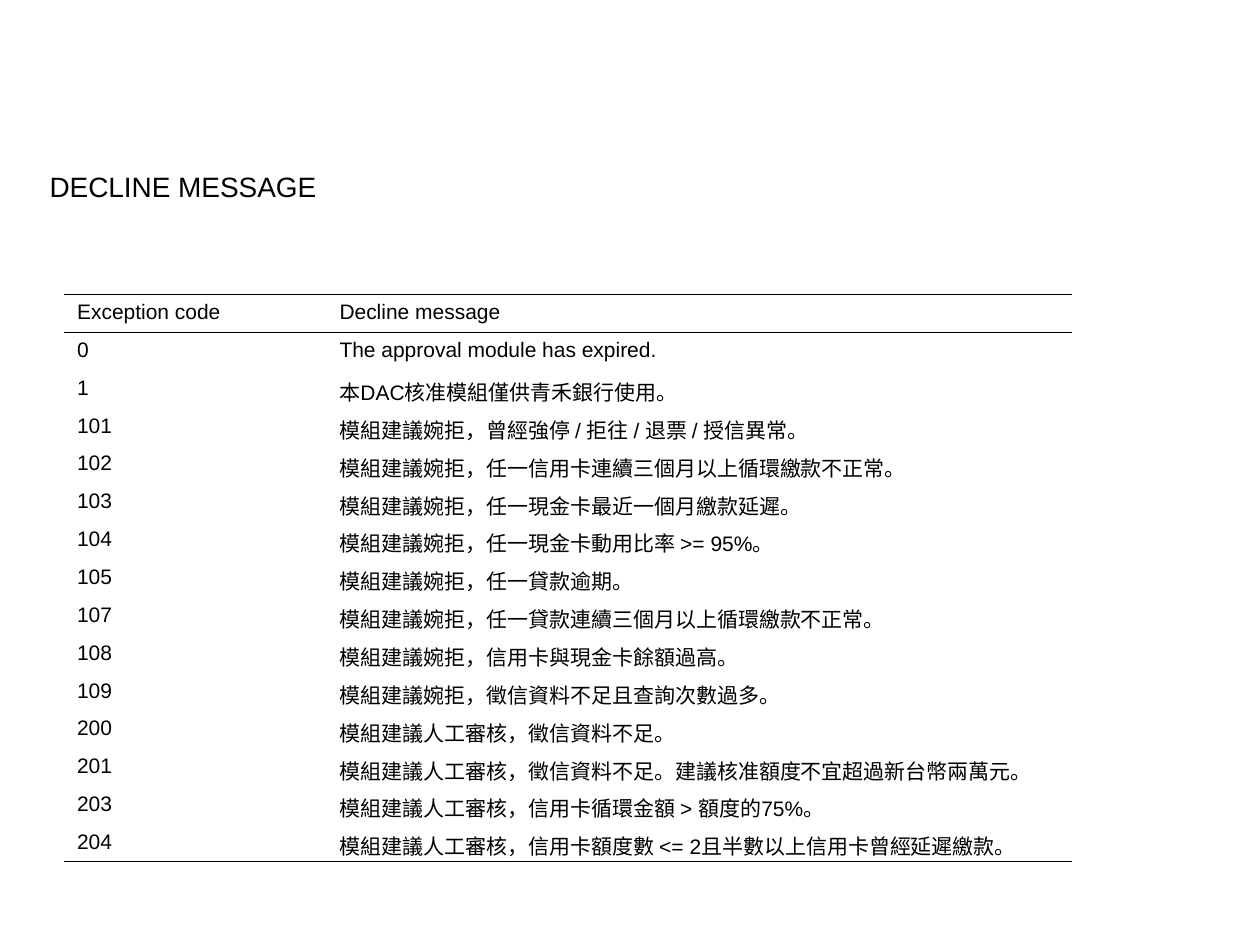
from lxml.etree import SubElement
from pptx import Presentation
from pptx.dml.color import RGBColor
from pptx.enum.text import MSO_ANCHOR as Anchor
from pptx.oxml.ns import qn
from pptx.util import Cm, Pt

MESSAGES = [
    ("Exception code", "Decline message"),
    ("0", "The approval module has expired."),
    ("1", "本DAC核准模組僅供青禾銀行使用。"),
    ("101", "模組建議婉拒，曾經強停 / 拒往 / 退票 / 授信異常。"),
    ("102", "模組建議婉拒，任一信用卡連續三個月以上循環繳款不正常。"),
    ("103", "模組建議婉拒，任一現金卡最近一個月繳款延遲。"),
    ("104", "模組建議婉拒，任一現金卡動用比率 >= 95%。"),
    ("105", "模組建議婉拒，任一貸款逾期。"),
    ("107", "模組建議婉拒，任一貸款連續三個月以上循環繳款不正常。"),
    ("108", "模組建議婉拒，信用卡與現金卡餘額過高。"),
    ("109", "模組建議婉拒，徵信資料不足且查詢次數過多。"),
    ("200", "模組建議人工審核，徵信資料不足。"),
    ("201", "模組建議人工審核，徵信資料不足。建議核准額度不宜超過新台幣兩萬元。"),
    ("203", "模組建議人工審核，信用卡循環金額 > 額度的75%。"),
    ("204", "模組建議人工審核，信用卡額度數 <= 2且半數以上信用卡曾經延遲繳款。"),
]


def color(code):
    return RGBColor.from_string(code)


def write(frame, text, size=12, font="Arial", ink="000000"):
    span = frame.paragraphs[0].add_run()
    span.text = text
    span.font.size = Pt(size)
    span.font.name = font
    span.font.color.rgb = color(ink)


class DeclinePage:
    ink = "000000"
    outer_rule = 0.75
    header_rule = 0.45

    def __init__(self, deck):
        self.page = deck.slides.add_slide(deck.slide_layouts[6])

    def title(self, text, left, top, width, height):
        box = self.page.shapes.add_textbox(Cm(left), Cm(top), Cm(width), Cm(height))
        box.text_frame.word_wrap = True
        write(box.text_frame, text, size=16, ink=self.ink)

    def border(self, cell, **widths):
        properties = cell._tc.get_or_add_tcPr()
        for index, side in enumerate("LRTB"):
            width = widths.get(side, 0)
            line = SubElement(properties, qn(f"a:ln{side}"), w=str(Pt(width)))
            if width:
                fill = SubElement(line, qn("a:solidFill"))
                SubElement(fill, qn("a:srgbClr"), val=self.ink)
            else:
                SubElement(line, qn("a:noFill"))
            properties.insert(index, line)

    def table(self, rows, left, top, widths, row_height):
        frame = self.page.shapes.add_table(
            len(rows), len(widths), Cm(left), Cm(top),
            Cm(sum(widths)), Cm(row_height * len(rows)))
        table = frame.table
        table.first_row = table.horz_banding = False
        for column, width in zip(table.columns, widths):
            column.width = Cm(width)
        rules = {
            0: {"T": self.outer_rule, "B": self.header_rule},
            1: {"T": self.header_rule},
            len(rows) - 1: {"B": self.outer_rule},
        }
        for row, texts in enumerate(rows):
            table.rows[row].height = Cm(row_height)
            for column, text in enumerate(texts):
                cell = table.cell(row, column)
                cell.fill.background()
                cell.vertical_anchor = Anchor.TOP
                write(cell.text_frame, text, ink=self.ink)
                self.border(cell, **rules.get(row, {}))


def main():
    deck = Presentation()
    deck.slide_width, deck.slide_height = Cm(25.4), Cm(19.05)
    page = DeclinePage(deck)
    page.title("DECLINE MESSAGE", 0.75, 3.3, 23.6, 0.94)
    page.table(MESSAGES, 1.3, 5.93, [5.29, 15.03], 0.76)
    deck.save("out.pptx")


if __name__ == "__main__":
    main()
